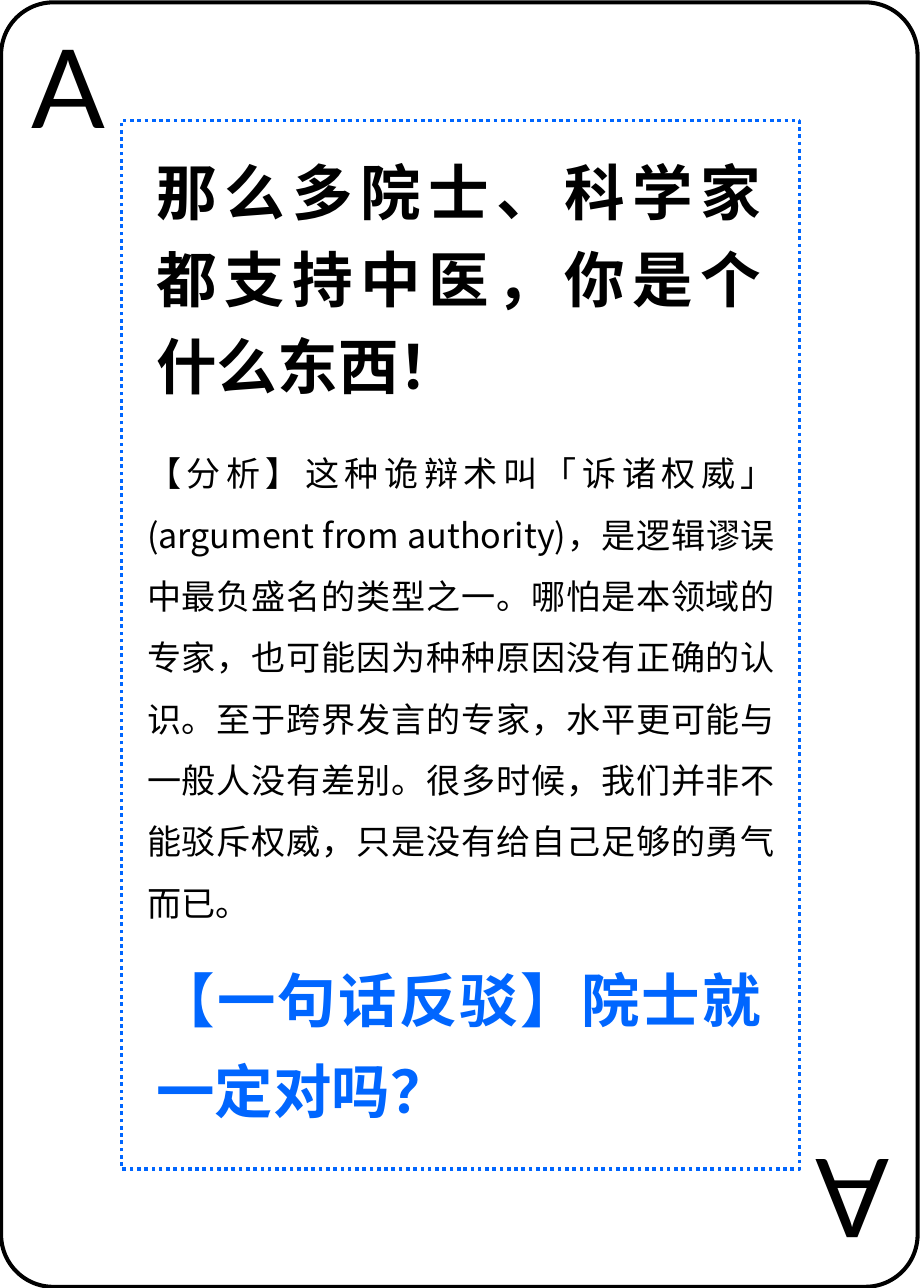
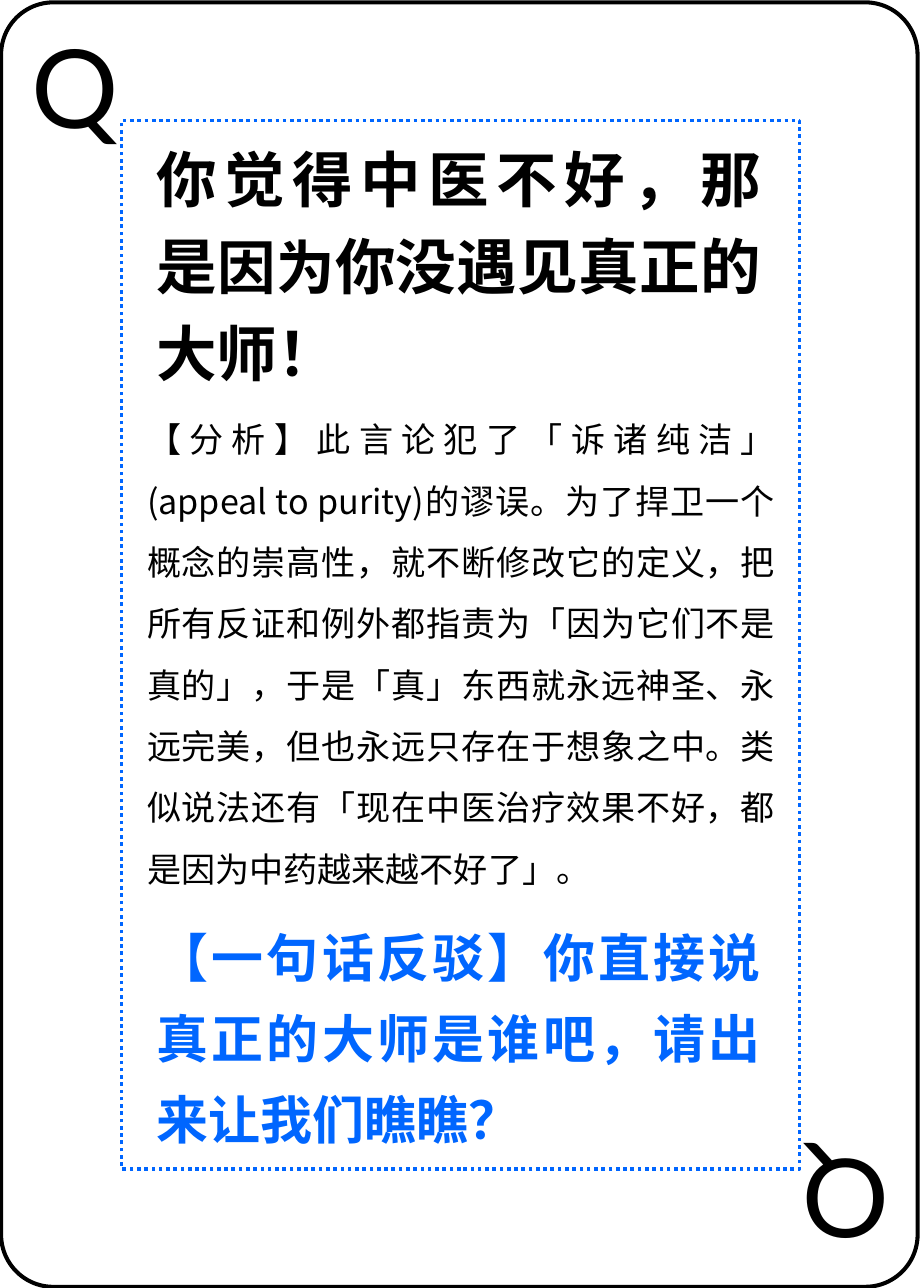
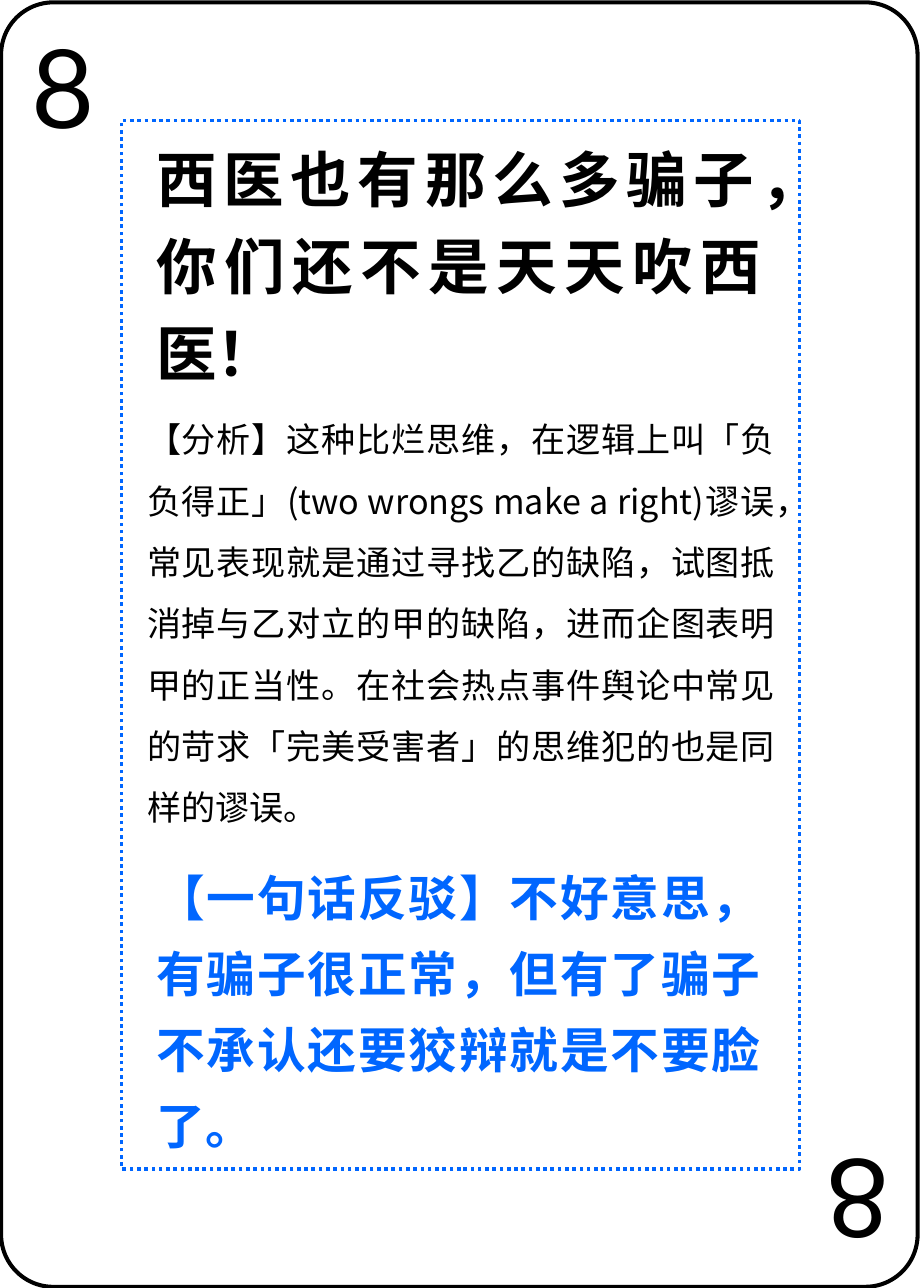
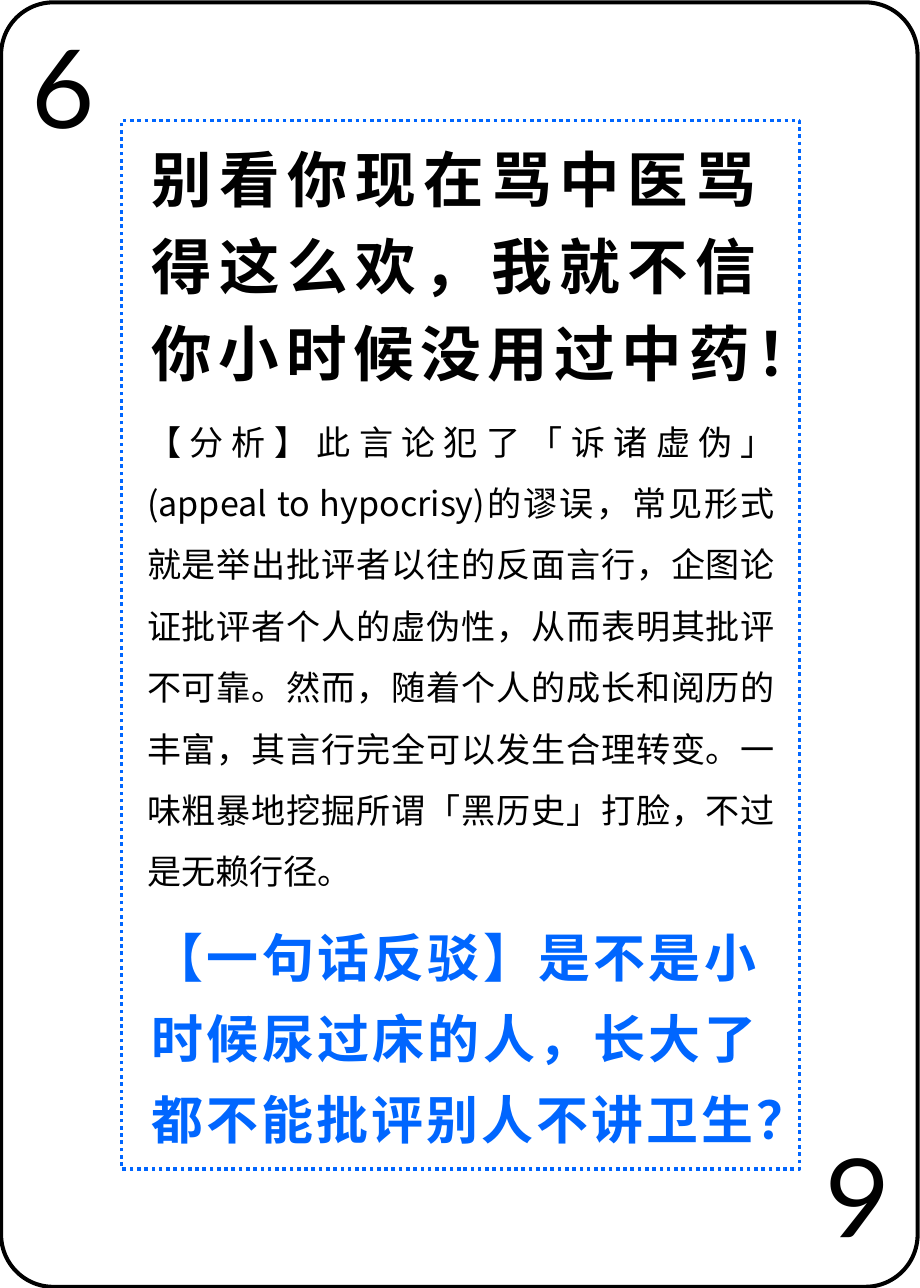
from dataclasses import dataclass

from lxml.etree import SubElement
from pptx import Presentation
from pptx.dml.color import RGBColor
from pptx.enum.dml import MSO_LINE
from pptx.enum.lang import MSO_LANGUAGE_ID
from pptx.enum.shapes import MSO_SHAPE
from pptx.enum.text import MSO_AUTO_SIZE, PP_ALIGN
from pptx.oxml.ns import qn
from pptx.util import Emu, Pt

PX = 9144
WIDTH, HEIGHT = 787, 1102


def px(length):
    return Emu(length * PX)


@dataclass(frozen=True)
class Theme:
    ink: RGBColor = RGBColor(0x00, 0x00, 0x00)
    accent: RGBColor = RGBColor(0x00, 0x66, 0xFF)
    rank_font: str = "Lato"
    text_font: str = "Noto Sans CJK SC"
    rank_size: float = 67.2
    claim_size: float = 37.3
    claim_small_size: float = 36
    analysis_size: float = 21
    border_width: float = 2.5
    frame_width: float = 2.25


THEME = Theme()


def write(frame, runs, *, size, font, color, bold=False, align=PP_ALIGN.LEFT, spacing=1.0):
    paragraph = frame.paragraphs[0]
    paragraph.alignment = align
    paragraph.line_spacing = spacing
    for words, own_size in runs:
        run = paragraph.add_run()
        run.text = words
        run.font.size = Pt(own_size or size)
        run.font.bold = bold
        run.font.color.rgb = color
        run.font.name = font
        run.font.language_id = MSO_LANGUAGE_ID.SIMPLIFIED_CHINESE
        SubElement(run.font._element, qn("a:ea"), typeface=font)


class Deck:
    def __init__(self, theme):
        self.theme = theme
        self.presentation = Presentation()
        self.presentation.slide_width = px(WIDTH)
        self.presentation.slide_height = px(HEIGHT)
        self.slide = None

    def new_card(self):
        self.slide = self.presentation.slides.add_slide(self.presentation.slide_layouts[6])

    def text(self, box, runs, rotation=0, **style):
        holder = self.slide.shapes.add_textbox(*map(px, box))
        holder.rotation = rotation
        holder.text_frame.word_wrap = True
        holder.text_frame.auto_size = MSO_AUTO_SIZE.SHAPE_TO_FIT_TEXT
        write(holder.text_frame, runs, **style)

    def outline(self, preset, box, color, width, dash=None):
        edge = self.slide.shapes.add_shape(preset, *map(px, box))
        edge.shadow.inherit = False
        edge.fill.background()
        edge.line.color.rgb = color
        edge.line.width = Pt(width)
        if dash is not None:
            edge.line.dash_style = dash
        return edge

    def ranks(self, rank):
        for left, top, rotation in ((17, 12, 0), (695, 967, 180)):
            self.text((left, top, 76, 123), [(rank, None)], rotation,
                      size=self.theme.rank_size, font=self.theme.rank_font, color=self.theme.ink)

    def passage(self, box, runs, size, spacing, color, bold):
        self.text(box, runs, size=size, font=self.theme.text_font, color=color,
                  bold=bold, align=PP_ALIGN.JUSTIFY, spacing=spacing)

    def claim(self, left, top, runs):
        self.passage((left, top, 537, 230), runs, self.theme.claim_size, 1.2, self.theme.ink, True)

    def analysis(self, top, height, words):
        self.passage((116, top, 557, height), [(words, None)],
                     self.theme.analysis_size, 1.5, self.theme.ink, False)

    def rebuttal(self, left, top, height, size, words):
        self.passage((left, top, 537, height), [(words, None)], size, 1.3, self.theme.accent, True)

    def frame(self):
        self.outline(MSO_SHAPE.RECTANGLE, (104, 103, 580, 897), self.theme.accent,
                     self.theme.frame_width, MSO_LINE.ROUND_DOT)

    def border(self):
        edge = self.outline(MSO_SHAPE.ROUNDED_RECTANGLE, (1, 2, 784, 1099),
                            self.theme.ink, self.theme.border_width)
        edge.adjustments[0] = 0.057


@dataclass(frozen=True)
class Card:
    rank: str
    claim: list
    analysis: str
    rebuttal: str
    rebuttal_size: float
    rebuttal_top: int
    rebuttal_height: int
    left: int = 124
    claim_top: int = 104
    analysis_top: int = 336
    analysis_height: int = 428


CARDS = [
    Card(
        rank="A",
        claim=[("那么多院士、科学家都支持中医，你是个什么东西！", None)],
        analysis="【分析】这种诡辩术叫「诉诸权威」(argument from authority)，是逻辑谬误中最负盛名的类型之一。"
                 "哪怕是本领域的专家，也可能因为种种原因没有正确的认识。至于跨界发言的专家，水平更可能与一般人没有差别。"
                 "很多时候，我们并非不能驳斥权威，只是没有给自己足够的勇气而已。",
        rebuttal="【一句话反驳】院士就一定对吗？",
        rebuttal_size=36, rebuttal_top=802, rebuttal_height=160,
        claim_top=115, analysis_top=365,
    ),
    Card(
        rank="Q",
        claim=[("你觉得中医不好，那是", None), ("因为", THEME.claim_small_size),
               ("你没遇见真正的大师！", None)],
        analysis="【分析】此言论犯了「诉诸纯洁」(appeal to purity)的谬误。为了捍卫一个概念的崇高性，就不断修改它的定义，"
                 "把所有反证和例外都指责为「因为它们不是真的」，于是「真」东西就永远神圣、永远完美，但也永远只存在于想象之中。"
                 "类似说法还有「现在中医治疗效果不好，都是因为中药越来越不好了」。",
        rebuttal="【一句话反驳】你直接说真正的大师是谁吧，请出来让我们瞧瞧？",
        rebuttal_size=32, rebuttal_top=771, rebuttal_height=213,
    ),
    Card(
        rank="8",
        claim=[("西医也有那么多骗子，你们还不是天天吹西医！", None)],
        analysis="【分析】这种比烂思维，在逻辑上叫「负负得正」(two wrongs make a right)谬误，"
                 "常见表现就是通过寻找乙的缺陷，试图抵消掉与乙对立的甲的缺陷，进而企图表明甲的正当性。"
                 "在社会热点事件舆论中常见的苛求「完美受害者」的思维犯的也是同样的谬误。",
        rebuttal="【一句话反驳】不好意思，有骗子很正常，但有了骗子不承认还要狡辩就是不要脸了。",
        rebuttal_size=30, rebuttal_top=723, rebuttal_height=266,
        analysis_height=375,
    ),
    Card(
        rank="6",
        claim=[("别看你现在骂中医骂得这么欢，我就不信你小时候没用过中药！", None)],
        analysis="【分析】此言论犯了「诉诸虚伪」(appeal to hypocrisy)的谬误，常见形式就是举出批评者以往的反面言行，"
                 "企图论证批评者个人的虚伪性，从而表明其批评不可靠。然而，随着个人的成长和阅历的丰富，"
                 "其言行完全可以发生合理转变。一味粗暴地挖掘所谓「黑历史」打脸，不过是无赖行径。",
        rebuttal="【一句话反驳】是不是小时候尿过床的人，长大了都不能批评别人不讲卫生？",
        rebuttal_size=32, rebuttal_top=771, rebuttal_height=213,
        left=120, analysis_top=338,
    ),
]


def main():
    deck = Deck(THEME)
    for card in CARDS:
        deck.new_card()
        deck.ranks(card.rank)
        deck.claim(card.left, card.claim_top, card.claim)
        deck.frame()
        deck.analysis(card.analysis_top, card.analysis_height, card.analysis)
        deck.rebuttal(card.left, card.rebuttal_top, card.rebuttal_height,
                      card.rebuttal_size, card.rebuttal)
        deck.border()
    deck.presentation.save("out.pptx")


if __name__ == "__main__":
    main()
